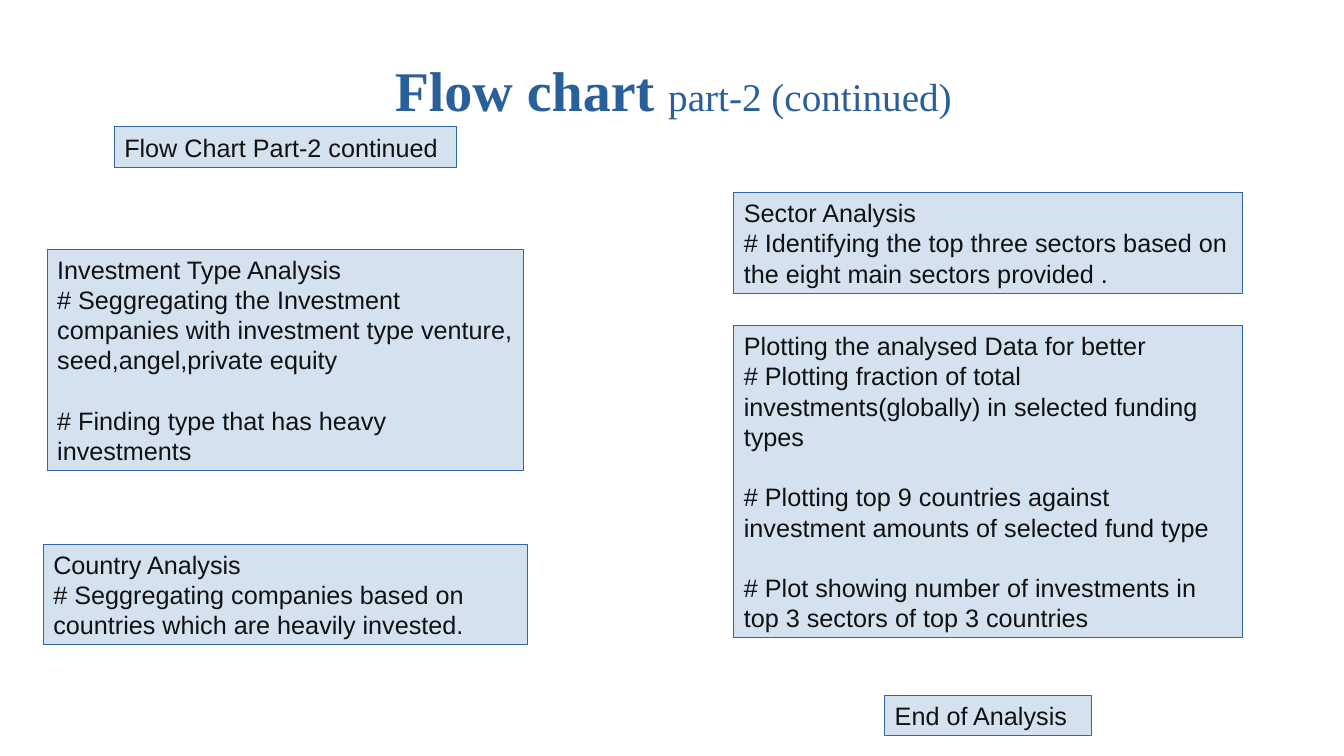
from dataclasses import dataclass

from lxml import etree
from pptx import Presentation
from pptx import util as u
from pptx.dml.color import RGBColor
from pptx.enum import shapes, text
from pptx.oxml.ns import qn


@dataclass(frozen=True)
class Theme:
    """Colours, fonts and sizes of the slide."""
    title: str = "2A6099"
    body: str = "111111"
    fill: str = "729FCF"
    line: str = "3465A4"
    opacity: int = 30
    title_font: str = "Times New Roman"
    body_font: str = "Arial"
    title_size: float = 40
    subtitle_size: float = 28
    body_size: float = 18
    leading: float = 21.6
    inset_x: float = 7.2
    inset_y: float = 3.6


T = Theme()

LEFT_STEPS = [
    (0, 244.2, 1, [["Flow Chart Part-2 continued"]]),
    (87.2, 340, 7, [
        ["Investment Type Analysis",
         "# Seggregating the Investment companies with investment type venture, "
         "seed,angel,private equity"],
        ["# Finding type that has heavy investments"]]),
    (298, 345.6, 3, [
        ["Country Analysis",
         "# Seggregating companies based on countries which are heavily invested."]]),
]
RIGHT_STEPS = [
    (0, 363, 3, [
        ["Sector Analysis",
         "# Identifying the top three sectors based on the eight main sectors provided ."]]),
    (95, 363, 10, [
        ["Plotting the analysed Data for better",
         "# Plotting fraction of total investments(globally) in selected funding types"],
        ["# Plotting top 9 countries against investment amounts of selected fund type"],
        ["# Plot showing number of investments in top 3 sectors of top 3 countries"]]),
    (359.2, 147.6, 1, [["End of Analysis"]]),
]


def add_text(p, words, font=T.body_font, size=T.body_size, color=T.body, bold=False):
    """Add a formatted run to a paragraph."""
    r = p.add_run()
    r.text = words
    r.font.name, r.font.size, r.font.bold = font, u.Pt(size), bold
    r.font.color.rgb = RGBColor.from_string(color)


def set_frame(tf, inset_x, inset_y):
    """Set wrapping, anchor and insets of a text frame."""
    tf.word_wrap = True
    tf.auto_size = text.MSO_AUTO_SIZE.NONE
    tf.vertical_anchor = text.MSO_ANCHOR.MIDDLE
    tf.margin_left = tf.margin_right = u.Pt(inset_x)
    tf.margin_top = tf.margin_bottom = u.Pt(inset_y)


def add_title(s, left, top, width, height):
    """Place the two-size title in the title placeholder."""
    sp = s.shapes.title
    sp.left, sp.top, sp.width, sp.height = map(u.Pt, (left, top, width, height))
    set_frame(sp.text_frame, 0, 0)
    p = sp.text_frame.paragraphs[0]
    p.alignment, p.line_spacing = text.PP_ALIGN.LEFT, 0.9
    style = dict(font=T.title_font, color=T.title)
    add_text(p, "Flow chart ", size=T.title_size, bold=True, **style)
    add_text(p, "part-2 (continued)", size=T.subtitle_size, **style)


def add_step(s, left, top, width, height, groups):
    """Draw one step box, with a line's gap between text groups."""
    sp = s.shapes.add_shape(shapes.MSO_SHAPE.RECTANGLE,
                            *map(u.Pt, (left, top, width, height)))
    sp.shadow.inherit = False
    sp.fill.solid()
    sp.fill.fore_color.rgb = RGBColor.from_string(T.fill)
    color = sp.fill._xPr.find(".//" + qn("a:srgbClr"))
    etree.SubElement(color, qn("a:alpha"), val=str(T.opacity * 1000))
    sp.line.color.rgb = RGBColor.from_string(T.line)
    sp.line.width = u.Pt(0.75)
    tf = sp.text_frame
    set_frame(tf, T.inset_x, T.inset_y)
    p = tf.paragraphs[0]
    for g, group in enumerate(groups):
        for i, words in enumerate(group):
            if g or i:
                p = tf.add_paragraph()
            p.alignment, p.line_spacing = text.PP_ALIGN.LEFT, u.Pt(T.leading)
            p.space_before = u.Pt(T.leading if g and i == 0 else 0)
            add_text(p, words)


def add_column(s, left, top, width, steps):
    """Centre the steps of one column in its box."""
    for offset, step_width, lines, groups in steps:
        add_step(s, left + (width - step_width) / 2, top + offset, step_width,
                 lines * T.leading + 2 * T.inset_y, groups)


def add_flow_slide(prs):
    """Build the flow chart slide."""
    s = prs.slides.add_slide(prs.slide_layouts[5])
    add_title(s, 282, 21.6, 410, 90)
    add_column(s, 31, 90.7, 345.6, LEFT_STEPS)
    add_column(s, 524.3, 137.5, 363, RIGHT_STEPS)


def main():
    """Create and save the presentation."""
    prs = Presentation()
    prs.slide_width, prs.slide_height = u.Pt(960), u.Pt(540)
    add_flow_slide(prs)
    prs.save("out.pptx")


if __name__ == "__main__":
    main()
